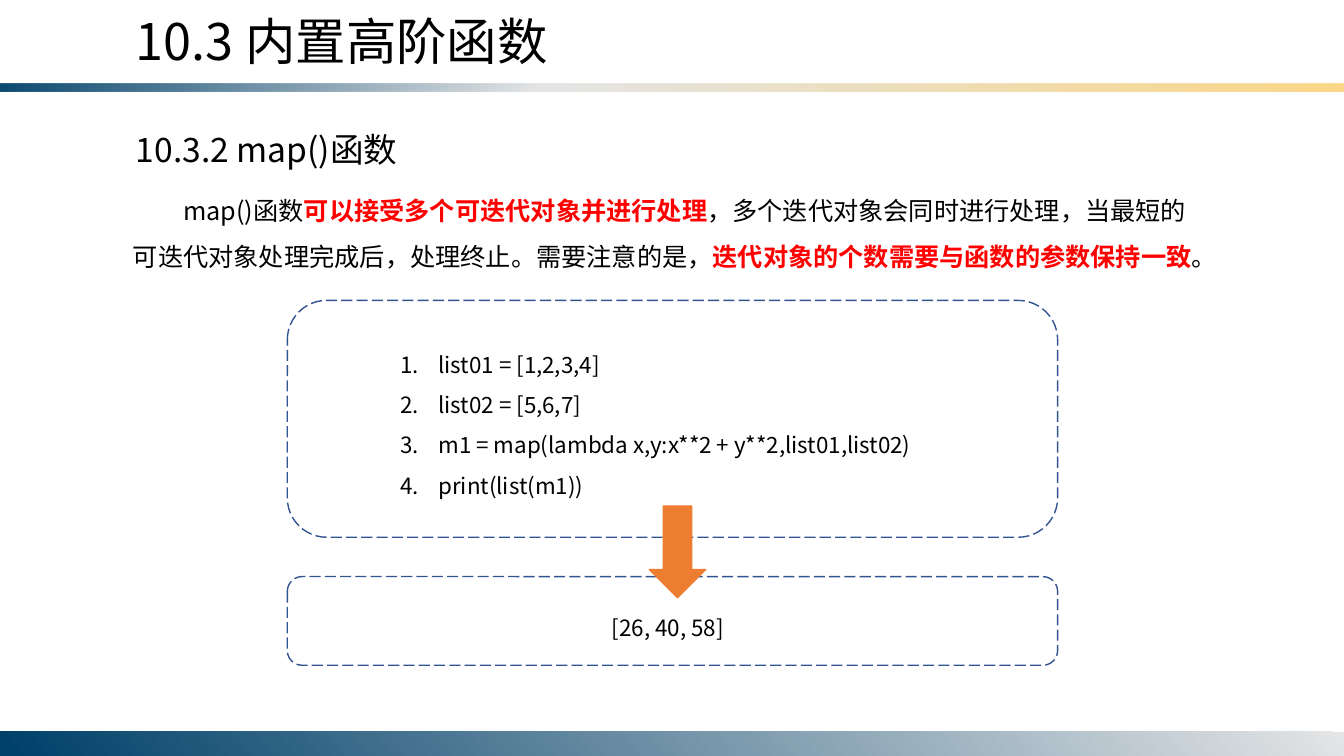
from lxml import etree
from pptx import Presentation, util as u
from pptx.dml import color
from pptx.enum import dml, shapes, text
from pptx.oxml import ns

COLORS = {"black": "000000", "red": "FF0000", "outline": "325491", "orange": "ED7D31",
          "navy": "00416A", "grey": "E4E5E6", "yellow": "FBD786"}
FONT = "Noto Sans CJK SC"
CODE = ["list01 = [1,2,3,4]", "list02 = [5,6,7]",
        "m1 = map(lambda x,y:x**2 + y**2,list01,list02)", "print(list(m1))"]
EXPLANATION = [
    ("map()函数", False),
    ("可以接受多个可迭代对象并进行处理", True),
    ("，多个迭代对象会同时进行处理，当最短的可迭代对象处理完成后，处理终止。需要注意的是，", False),
    ("迭代对象的个数需要与函数的参数保持一致", True),
    ("。", False),
]


def rgb(name):
    """Return the named colour."""
    return color.RGBColor.from_string(COLORS[name])


def add_shape(page, kind, place):
    """Add a preset shape without shadow, fill or line."""
    shape = page.shapes.add_shape(kind, *map(u.Inches, place))
    shape.shadow.inherit = False
    shape.fill.background()
    shape.line.fill.background()
    return shape


def add_band(page, place, angle, stops):
    """Add a full-width gradient band from (position, colour, opacity) stops."""
    band = add_shape(page, shapes.MSO_SHAPE.RECTANGLE, place)
    band.fill.gradient()
    band.fill.gradient_angle = 360 - angle
    stop_list = band.element.spPr.find(".//" + ns.qn("a:gsLst"))
    for stop in list(stop_list):
        stop_list.remove(stop)
    for position, name, opacity in stops:
        stop = etree.SubElement(stop_list, ns.qn("a:gs"), pos=str(position * 1000))
        tint = etree.SubElement(stop, ns.qn("a:srgbClr"), val=COLORS[name])
        if opacity < 100:
            etree.SubElement(tint, ns.qn("a:alpha"), val=str(opacity * 1000))


def add_frame(page, place):
    """Add a dashed rounded frame."""
    frame = add_shape(page, shapes.MSO_SHAPE.ROUNDED_RECTANGLE, place)
    frame.line.color.rgb = rgb("outline")
    frame.line.width = u.Pt(1)
    frame.line.dash_style = dml.MSO_LINE.LONG_DASH


def add_arrow(page, place):
    """Add a solid down arrow."""
    arrow = add_shape(page, shapes.MSO_SHAPE.DOWN_ARROW, place)
    arrow.fill.solid()
    arrow.fill.fore_color.rgb = rgb("orange")
    arrow.line.color.rgb = rgb("orange")
    arrow.line.width = u.Pt(1)


def style_span(span, size, key=False):
    """Format a run, in bold red if it is a key point."""
    span.font.size = u.Pt(size)
    span.font.name = FONT
    span.font.bold = key
    span.font.color.rgb = rgb("red" if key else "black")
    etree.SubElement(span.font._element, ns.qn("a:ea"), typeface=FONT)


def set_indent(para, margin, indent, numbered=False):
    """Set paragraph indents and optional automatic numbering."""
    props = para._p.get_or_add_pPr()
    props.set("marL", str(u.Inches(margin)))
    props.set("indent", str(u.Inches(indent)))
    if numbered:
        etree.SubElement(props, ns.qn("a:buFont"), typeface=FONT)
        etree.SubElement(props, ns.qn("a:buAutoNum"), type="arabicPeriod")


def add_text(page, place, content, size, spacing=None):
    """Add a wrapped text box and return its paragraphs."""
    box = page.shapes.add_textbox(*map(u.Inches, place))
    frame = box.text_frame
    frame.word_wrap = True
    frame.auto_size = text.MSO_AUTO_SIZE.SHAPE_TO_FIT_TEXT
    frame.text = content
    for para in frame.paragraphs:
        if spacing:
            para.line_spacing = spacing
        for span in para.runs:
            style_span(span, size)
    return frame.paragraphs


def add_explanation(page, place):
    """Add the body paragraph with highlighted key points."""
    para = add_text(page, place, "", 18, 1.5)[0]
    set_indent(para, 0, 0.5)
    for content, key in EXPLANATION:
        span = para.add_run()
        span.text = content
        style_span(span, 18, key)


def add_code(page, place):
    """Add the numbered code listing."""
    for para in add_text(page, place, "\n".join(CODE), 16, 1.5):
        set_indent(para, 0.38, -0.38, numbered=True)


def main():
    """Build and save the slide."""
    deck = Presentation()
    deck.slide_width, deck.slide_height = u.Inches(13.33), u.Inches(7.5)
    page = deck.slides.add_slide(deck.slide_layouts[6])
    add_band(page, (0, 0.83, 13.33, 0.08), 50,
             [(0, "navy", 95), (40, "grey", 100), (100, "yellow", 100)])
    add_band(page, (0, 7.26, 13.33, 0.24), 140, [(0, "grey", 100), (99, "navy", 100)])
    add_text(page, (1.25, 0.05, 6.12, 0.71), "10.3 内置高阶函数", 36)
    add_text(page, (1.25, 1.23, 5.16, 0.5), "10.3.2 map()函数", 24)
    add_explanation(page, (1.22, 1.74, 10.89, 1.01))
    add_code(page, (3.87, 3.3, 5.7, 1.72))
    add_frame(page, (2.85, 2.98, 7.64, 2.35))
    add_text(page, (5.97, 5.91, 1.39, 0.5), "[26, 40, 58]", 16, 1.5)
    add_frame(page, (2.85, 5.72, 7.64, 0.88))
    add_arrow(page, (6.44, 5.02, 0.56, 0.91))
    deck.save("out.pptx")


if __name__ == "__main__":
    main()
